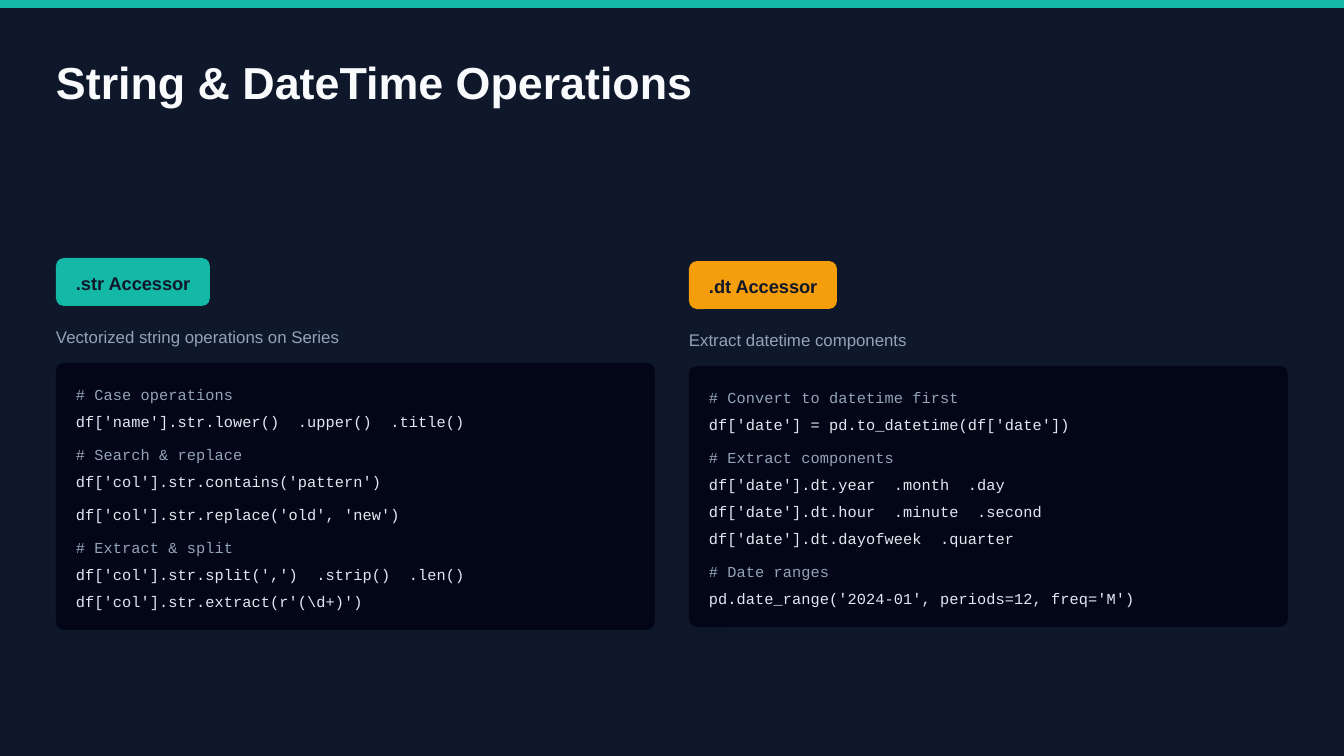
from dataclasses import dataclass

from pptx import Presentation
from pptx.dml.color import RGBColor
from pptx.enum.shapes import MSO_SHAPE
from pptx.util import Emu, Pt

SLIDE_WIDTH, SLIDE_HEIGHT = 1344, 756
EMU_PER_PX = 9144000 / SLIDE_WIDTH

TEAL, AMBER = "14B8A6", "F59E0B"
NAVY, BLACK, WHITE = "0F172A", "020617", "F8FAFC"
MUTED, CODE = "94A3B8", "E2E8F0"

RADIUS = 8
PADDING = 20
PANEL_WIDTH = 599
PANEL_CENTER_Y = 444
BADGE_HEIGHT = 48
SUBTITLE_OFFSET = 65
CODE_OFFSET = 105
CODE_INSET = 19
LINE_HEIGHT, LINE_PITCH, GROUP_GAP = 22, 27, 6


@dataclass(frozen=True)
class Style:
    font: str
    size: float
    color: str
    line_spacing: float
    bold: bool = False


@dataclass(frozen=True)
class Panel:
    left: int
    badge: str
    badge_width: int
    color: str
    subtitle: str
    code_groups: tuple[tuple[str, ...], ...]


TITLE = Style("Arial", 24, WHITE, 24, bold=True)
BADGE = Style("Arial", 9.75, NAVY, 13.65, bold=True)
SUBTITLE = Style("Arial", 9, MUTED, 12.6)
COMMENT = Style("Courier New", 8.25, MUTED, 11.55)
STATEMENT = Style("Courier New", 8.25, CODE, 11.55)

PANELS = (
    Panel(56, ".str Accessor", 154, TEAL, "Vectorized string operations on Series", (
        ("# Case operations", "df['name'].str.lower()  .upper()  .title()"),
        ("# Search & replace", "df['col'].str.contains('pattern')"),
        ("df['col'].str.replace('old', 'new')",),
        ("# Extract & split", "df['col'].str.split(',')  .strip()  .len()",
         r"df['col'].str.extract(r'(\d+)')"),
    )),
    Panel(689, ".dt Accessor", 148, AMBER, "Extract datetime components", (
        ("# Convert to datetime first", "df['date'] = pd.to_datetime(df['date'])"),
        ("# Extract components", "df['date'].dt.year  .month  .day",
         "df['date'].dt.hour  .minute  .second", "df['date'].dt.dayofweek  .quarter"),
        ("# Date ranges", "pd.date_range('2024-01', periods=12, freq='M')"),
    )),
)


def px(length: int) -> Emu:
    return Emu(round(length * EMU_PER_PX))


def rgb(color: str) -> RGBColor:
    return RGBColor.from_string(color)


def add_box(slide, left: int, top: int, width: int, height: int, color: str,
            radius: int = 0) -> None:
    kind = MSO_SHAPE.ROUNDED_RECTANGLE if radius else MSO_SHAPE.RECTANGLE
    shape = slide.shapes.add_shape(kind, px(left), px(top), px(width), px(height))
    if radius:
        shape.adjustments[0] = radius / min(width, height)
    shape.fill.solid()
    shape.fill.fore_color.rgb = rgb(color)
    shape.line.fill.background()
    shape.shadow.inherit = False


def add_text(slide, left: int, top: int, width: int, height: int, text: str,
             style: Style) -> None:
    box = slide.shapes.add_textbox(px(left), px(top), px(width), px(height))
    frame = box.text_frame
    frame.margin_left = frame.margin_top = frame.margin_right = frame.margin_bottom = 0
    frame.word_wrap = False
    paragraph = frame.paragraphs[0]
    paragraph.line_spacing = Pt(style.line_spacing)
    run = paragraph.add_run()
    run.text = text
    run.font.name = style.font
    run.font.size = Pt(style.size)
    run.font.bold = style.bold
    run.font.color.rgb = rgb(style.color)


def code_height(groups: tuple[tuple[str, ...], ...]) -> int:
    line_count = sum(len(group) for group in groups)
    text_height = (line_count - 1) * LINE_PITCH + (len(groups) - 1) * GROUP_GAP + LINE_HEIGHT
    return text_height + 2 * CODE_INSET


def add_code(slide, left: int, top: int, groups: tuple[tuple[str, ...], ...]) -> None:
    add_box(slide, left, top, PANEL_WIDTH, code_height(groups), BLACK, RADIUS)
    line_top = top + CODE_INSET
    for group in groups:
        for line in group:
            style = COMMENT if line.startswith("#") else STATEMENT
            add_text(slide, left + PADDING, line_top, 571, LINE_HEIGHT, line, style)
            line_top += LINE_PITCH
        line_top += GROUP_GAP


def add_panel(slide, panel: Panel) -> None:
    """Draw badge, subtitle and code block, centred on PANEL_CENTER_Y."""
    top = PANEL_CENTER_Y - (CODE_OFFSET + code_height(panel.code_groups)) // 2
    add_box(slide, panel.left, top, panel.badge_width, BADGE_HEIGHT, panel.color, RADIUS)
    add_text(slide, panel.left + PADDING, top + 11, panel.badge_width - 2 * PADDING + 2, 26,
             panel.badge, BADGE)
    add_text(slide, panel.left, top + SUBTITLE_OFFSET, 611, 23, panel.subtitle, SUBTITLE)
    add_code(slide, panel.left, top + CODE_OFFSET, panel.code_groups)


def main() -> None:
    presentation = Presentation()
    presentation.slide_width = px(SLIDE_WIDTH)
    presentation.slide_height = px(SLIDE_HEIGHT)
    slide = presentation.slides.add_slide(presentation.slide_layouts[6])
    slide.background.fill.solid()
    slide.background.fill.fore_color.rgb = rgb(NAVY)

    add_box(slide, 0, 0, SLIDE_WIDTH, 8, TEAL)
    add_text(slide, 56, 64, 649, 45, "String & DateTime Operations", TITLE)
    for panel in PANELS:
        add_panel(slide, panel)
    presentation.save("out.pptx")


if __name__ == "__main__":
    main()
